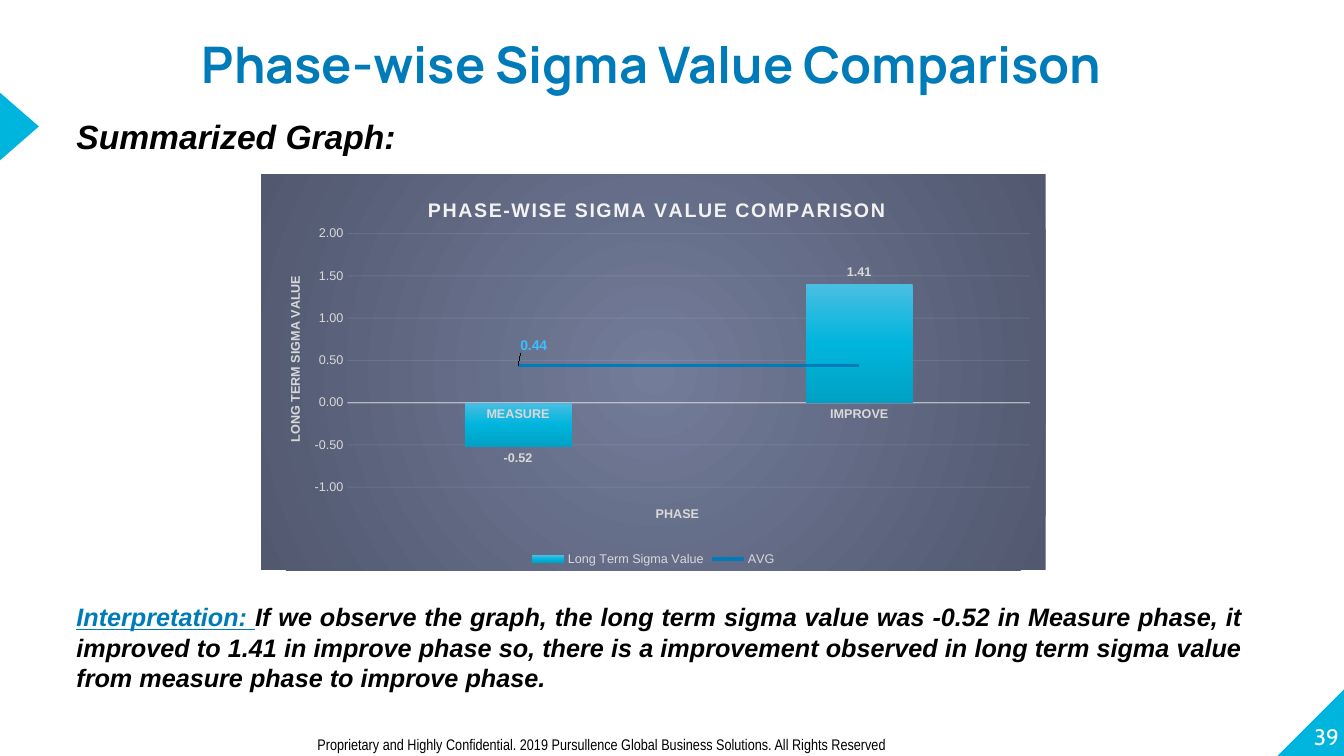
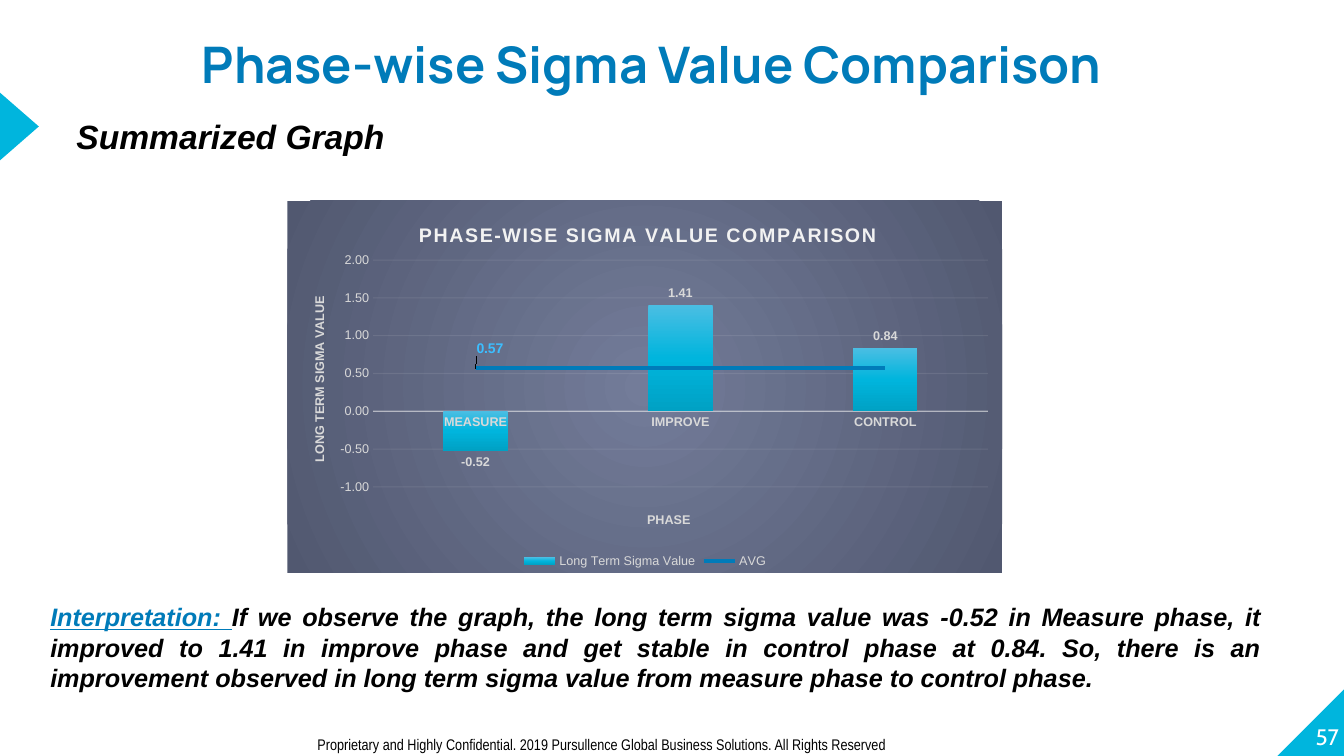
"""Build the two sigma value comparison slides."""
from dataclasses import dataclass
from typing import NamedTuple

from pptx import Presentation
from pptx.chart.data import CategoryChartData
from pptx.dml.color import RGBColor
from pptx.enum.chart import XL_CHART_TYPE as ChartType, XL_LABEL_POSITION as LabelPos
from pptx.enum.chart import XL_LEGEND_POSITION as LegendPos, XL_MARKER_STYLE as Marker
from pptx.enum.chart import XL_TICK_MARK as Tick
from pptx.enum.shapes import MSO_SHAPE as Shape
from pptx.enum.text import MSO_ANCHOR as Anchor, PP_ALIGN as Align
from pptx.oxml import parse_xml
from pptx.oxml.ns import nsdecls, qn
from pptx.util import Inches, Pt

CYAN = RGBColor(0x00, 0xB5, 0xDD)
BLUE = RGBColor(0x00, 0x7B, 0xB9)
SKY = RGBColor(0x3C, 0xBE, 0xFF)
WHITE = RGBColor(0xFF, 0xFF, 0xFF)
BLACK = RGBColor(0x00, 0x00, 0x00)
PALE = RGBColor(0xF2, 0xF2, 0xF2)
GREY = RGBColor(0xD9, 0xD9, 0xD9)
SLATE = RGBColor(0x3A, 0x3F, 0x50)
BAR_STOPS = ((0, RGBColor(0x4B, 0xBE, 0xE3)), (50, CYAN), (100, RGBColor(0x00, 0xA1, 0xC4)))
PANEL_STOPS = ((0, RGBColor(0x73, 0x7C, 0x99)), (100, RGBColor(0x51, 0x58, 0x70)))
DOWNWARD = '<a:lin ang="5400000" scaled="0"/>'
RADIAL = ('<a:path path="circle"><a:fillToRect l="50000" t="50000" r="50000" b="50000"/>'
          '</a:path>')
TITLE = "Phase-wise Sigma Value Comparison"
CHART_TITLE_WIDTH = 4.55
FOOTER = ("Proprietary and Highly Confidential. 2019 Pursullence Global Business Solutions. "
          "All Rights Reserved")


class Box(NamedTuple):
    """Left, top, width and height."""
    x: float
    y: float
    w: float
    h: float

    def inches(self) -> list:
        """Return the four lengths in inches."""
        return [Inches(v) for v in self]


@dataclass(frozen=True)
class SigmaSlide:
    """What differs from one comparison slide to the next."""
    number: int
    heading: str
    interpretation: str
    text_box: Box
    chart_box: Box
    plot_box: Box
    phases: dict[str, float]
    average: float


SLIDES = (
    SigmaSlide(
        39, "Summarized Graph:",
        "If we observe the graph, the long term sigma value was -0.52 in Measure phase, it "
        "improved to 1.41 in improve phase so, there is a improvement observed in long term "
        "sigma value from measure phase to improve phase.",
        Box(0.66, 5.92, 11.76, 1.01), Box(2.59, 1.73, 7.78, 3.93),
        Box(0.11, 0.15, 0.87, 0.64), {"MEASURE": -0.52, "IMPROVE": 1.41}, 0.44),
    SigmaSlide(
        57, "Summarized Graph",
        "If we observe the graph, the long term sigma value was -0.52 in Measure phase, it "
        "improved to 1.41 in improve phase and get stable in control phase at 0.84. So, there "
        "is an improvement observed in long term sigma value from measure phase to control "
        "phase.",
        Box(0.4, 5.92, 12.21, 1.01), Box(2.85, 1.99, 7.09, 3.69),
        Box(0.12, 0.16, 0.86, 0.61),
        {"MEASURE": -0.52, "IMPROVE": 1.41, "CONTROL": 0.84}, 0.57),
)


def style_font(font, *, size: float, color: RGBColor, name: str = "Arial",
               bold: bool = False, italic: bool = False, underline: bool = False) -> None:
    """Set typeface, size, colour and emphasis."""
    font.name, font.size = name, Pt(size)
    font.bold, font.italic, font.underline = bold, italic, underline
    font.color.rgb = color


def write(p, text: str, *, tracking: int = 0, **style) -> None:
    """Append a formatted run to a paragraph."""
    r = p.add_run()
    r.text = text
    style_font(r.font, **style)
    if tracking:
        r._r.get_or_add_rPr().set("spc", str(tracking))


def add_text(s, box: Box, *, align=Align.LEFT, anchor=Anchor.TOP, inset: bool = True,
             spacing: float = 1.0):
    """Add a wrapping text box and return its paragraph."""
    tf = s.shapes.add_textbox(*box.inches()).text_frame
    tf.word_wrap, tf.vertical_anchor = True, anchor
    if not inset:
        tf.margin_left = tf.margin_top = tf.margin_right = tf.margin_bottom = 0
    p = tf.paragraphs[0]
    p.alignment, p.line_spacing = align, spacing
    return p


def add_triangle(s, kind, box: Box):
    """Add a plain cyan triangle."""
    sp = s.shapes.add_shape(kind, *box.inches())
    sp.shadow.inherit = False
    sp.fill.solid()
    sp.fill.fore_color.rgb = CYAN
    sp.line.fill.background()
    return sp


def gradient(stops, direction: str) -> str:
    """Return the XML of a gradient fill."""
    marks = "".join(f'<a:gs pos="{at * 1000}"><a:srgbClr val="{color}"/></a:gs>'
                    for at, color in stops)
    return (f'<a:gradFill {nsdecls("a")} rotWithShape="1"><a:gsLst>{marks}</a:gsLst>'
            f'{direction}</a:gradFill>')


def set_layout(parent, index: int, *, inner: bool = False, edge: bool = True,
               **lengths: float) -> None:
    """Place a chart part by fractions of the chart area."""
    for old in parent.findall(qn("c:layout")):
        parent.remove(old)
    target = '<c:layoutTarget val="inner"/>' if inner else ""
    modes = '<c:xMode val="edge"/><c:yMode val="edge"/>' if edge else ""
    values = "".join(f'<c:{key} val="{value:.3f}"/>' for key, value in lengths.items())
    parent.insert(index, parse_xml(
        f'<c:layout {nsdecls("c")}><c:manualLayout>{target}{modes}{values}'
        '</c:manualLayout></c:layout>'))


def style_line(line, width: float, opacity: int) -> None:
    """Draw a pale, partly transparent line."""
    line.color.rgb, line.width = PALE, Pt(width)
    color = line._get_or_add_ln().xpath(".//a:srgbClr")[0]
    color.append(parse_xml(f'<a:alpha {nsdecls("a")} val="{opacity * 1000}"/>'))


def title_axis(axis, text: str, x: float, y: float, bold: bool) -> None:
    """Give an axis its title, tick labels and tick marks."""
    title = axis.axis_title
    write(title.text_frame.paragraphs[0], text, size=9, color=GREY, bold=True)
    set_layout(title._element, 1, x=x, y=y)
    axis.major_tick_mark = axis.minor_tick_mark = Tick.NONE
    style_font(axis.tick_labels.font, size=9, color=GREY, bold=bold)


def split_average(chart) -> None:
    """Move the second column series into a line plot on the same axes."""
    bars = chart._chartSpace.xpath(".//c:barChart")[0]
    ser = bars.findall(qn("c:ser"))[1]
    for invert in ser.findall(qn("c:invertIfNegative")):
        ser.remove(invert)
    axes = "".join(f'<c:axId val="{a.get("val")}"/>' for a in bars.findall(qn("c:axId")))
    lines = parse_xml(f'<c:lineChart {nsdecls("c")}><c:grouping val="standard"/>'
                      f'<c:varyColors val="0"/><c:marker val="1"/>{axes}</c:lineChart>')
    lines.insert(2, ser)
    bars.addnext(lines)


def style_series(chart) -> None:
    """Format the columns and the average line with their labels."""
    bars, lines = chart.plots
    bars.gap_width, bars.overlap, bars.vary_by_categories = 219, -27, False
    sigma, average = bars.series[0], lines.series[0]
    sigma.invert_if_negative = False
    sigma.format.line.fill.background()
    sigma._element.get_or_add_spPr().insert(0, parse_xml(gradient(BAR_STOPS, DOWNWARD)))
    labels = sigma.data_labels
    labels.show_value, labels.position = True, LabelPos.OUTSIDE_END
    labels.number_format, labels.number_format_is_linked = "0.00", False
    style_font(labels.font, size=9, color=GREY, bold=True)

    average.smooth, average.marker.style = False, Marker.NONE
    average.format.line.color.rgb, average.format.line.width = BLUE, Pt(2.75)
    average.data_labels.show_value = False
    label = average.points[0].data_label
    style_font(label.font, size=10, color=SKY, bold=True)
    label.position = LabelPos.ABOVE
    set_layout(average._element.xpath(".//c:dLbl")[0], 1, edge=False, x=0.02, y=-0.02)


def add_sigma_chart(s, spec: SigmaSlide) -> None:
    """Add the combined column and line chart."""
    data = CategoryChartData(number_format="0.00")
    data.categories = list(spec.phases)
    data.add_series("Long Term Sigma Value", list(spec.phases.values()))
    data.add_series("AVG", [spec.average] * len(spec.phases))
    chart = s.shapes.add_chart(ChartType.COLUMN_CLUSTERED, *spec.chart_box.inches(), data).chart
    style_font(chart.font, size=10, color=SLATE)
    split_average(chart)
    style_series(chart)

    title = chart.chart_title
    write(title.text_frame.paragraphs[0], TITLE.upper(), size=14, color=PALE, bold=True,
          tracking=100)
    set_layout(title._element, 1, x=(1 - CHART_TITLE_WIDTH / spec.chart_box.w) / 2, y=0.05)

    cat, val = chart.category_axis, chart.value_axis
    title_axis(cat, "PHASE", 0.5, 0.83, bold=True)
    style_line(cat.format.line, 1, 54)
    title_axis(val, "LONG TERM SIGMA VALUE", 0.03, 0.25, bold=False)
    val.axis_title._element.xpath(".//a:bodyPr")[0].set("rot", "-5400000")
    val.minimum_scale, val.maximum_scale, val.major_unit = -1, 2, 0.5
    val.tick_labels.number_format, val.tick_labels.number_format_is_linked = "0.00", False
    val.format.line.fill.background()
    style_line(val.major_gridlines.format.line, 0.75, 10)

    chart.has_legend = True
    chart.legend.position, chart.legend.include_in_layout = LegendPos.BOTTOM, False
    style_font(chart.legend.font, size=9, color=GREY)

    space = chart._chartSpace
    set_layout(space.xpath(".//c:plotArea")[0], 0, inner=True, **spec.plot_box._asdict())
    space.find(qn("c:chart")).addnext(parse_xml(
        f'<c:spPr {nsdecls("c", "a")}>{gradient(PANEL_STOPS, RADIAL)}'
        '<a:ln><a:noFill/></a:ln></c:spPr>'))


def add_frame(s, number: int) -> None:
    """Add the marks, page number, footer and title that the slides share."""
    corner = add_triangle(s, Shape.RIGHT_TRIANGLE, Box(12.67, 6.82, 0.68, 0.68))
    corner._element.spPr.get_or_add_xfrm().set("flipH", "1")
    add_triangle(s, Shape.ISOSCELES_TRIANGLE, Box(-0.15, 1.06, 0.68, 0.39)).rotation = 90
    p = add_text(s, Box(12.61, 6.76, 0.67, 0.68), align=Align.RIGHT, anchor=Anchor.BOTTOM,
                 inset=False)
    write(p, str(number), size=16, color=WHITE, name="Cabin")
    write(add_text(s, Box(3.05, 7.24, 8.51, 0.29)), FOOTER, size=11, color=BLACK,
          name="Arial Narrow")
    p = add_text(s, Box(1.61, 0.03, 9.71, 0.76), align=Align.CENTER, inset=False, spacing=1.5)
    write(p, TITLE, size=36, color=BLUE, name="Manrope", bold=True)


def add_sigma_slide(prs, spec: SigmaSlide) -> None:
    """Add one comparison slide."""
    s = prs.slides.add_slide(prs.slide_layouts[6])
    add_frame(s, spec.number)
    write(add_text(s, Box(0.66, 1.1, 5.47, 0.5)), spec.heading, size=24, color=BLACK,
          bold=True, italic=True)
    p = add_text(s, spec.text_box, align=Align.JUSTIFY)
    write(p, "Interpretation: ", size=18, color=BLUE, bold=True, italic=True, underline=True)
    write(p, spec.interpretation, size=18, color=BLACK, bold=True, italic=True)
    add_sigma_chart(s, spec)


def main() -> None:
    """Build and save the presentation."""
    prs = Presentation()
    prs.slide_width, prs.slide_height = Inches(13.33), Inches(7.5)
    for spec in SLIDES:
        add_sigma_slide(prs, spec)
    prs.save("out.pptx")


if __name__ == "__main__":
    main()
